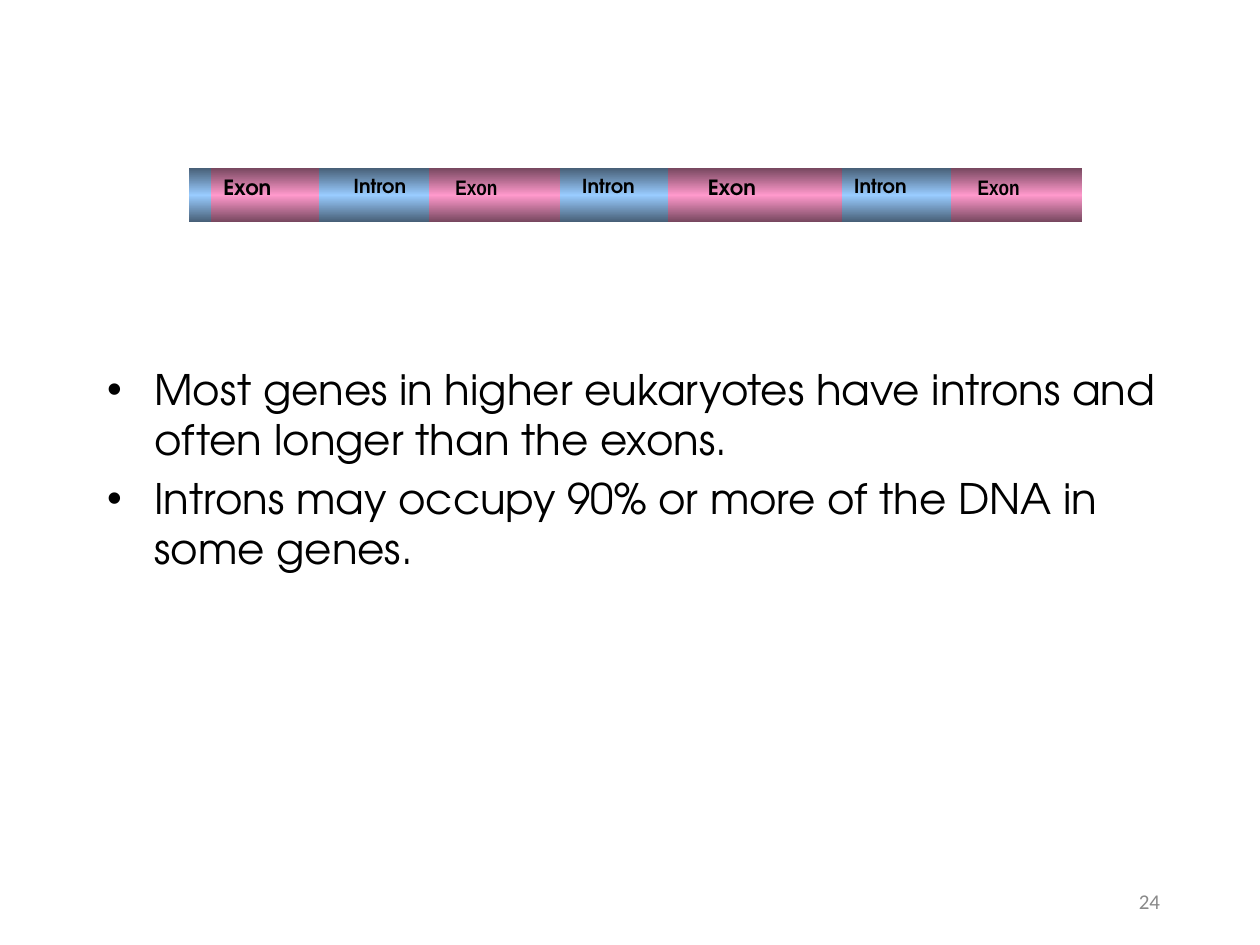
from copy import deepcopy
from dataclasses import dataclass

from pptx import Presentation
from pptx.dml.color import RGBColor
from pptx.enum.shapes import MSO_SHAPE
from pptx.enum.text import MSO_ANCHOR, MSO_AUTO_SIZE, PP_ALIGN
from pptx.util import Pt

RECTANGLE = MSO_SHAPE.RECTANGLE
TOP, MIDDLE = MSO_ANCHOR.TOP, MSO_ANCHOR.MIDDLE
LEFT, RIGHT = PP_ALIGN.LEFT, PP_ALIGN.RIGHT
FIXED_SIZE = MSO_AUTO_SIZE.NONE


@dataclass(frozen=True)
class Theme:
    heading_font: str = "TeX Gyre Adventor"
    narrow_font: str = "Arial Narrow"
    number_font: str = "Calibri"
    ink: str = "000000"
    muted: str = "898989"
    intron: tuple = ("475E76", "99CCFF")
    exon: tuple = ("76475E", "FF99CC")
    body_size: int = 24
    exon_size: int = 12
    intron_size: int = 11
    number_size: int = 12


def write_text(para, text, font, size, color, bold=False):
    span = para.add_run()
    span.text = text
    span.font.name = font
    span.font.size = Pt(size)
    span.font.bold = bold
    span.font.color.rgb = RGBColor.from_string(color)


class SlideBuilder:
    def __init__(self, slide, theme):
        self.slide = slide
        self.theme = theme

    def band(self, left, top, width, height, colors):
        box = self.slide.shapes.add_shape(
            RECTANGLE, Pt(left), Pt(top), Pt(width), Pt(height))
        box.shadow.inherit = False
        box.line.fill.background()
        box.fill.gradient()
        box.fill.gradient_angle = 90
        edge, center = colors
        stops = box.fill.gradient_stops
        for stop, color, position in zip(stops, (edge, center), (0, 0.5)):
            stop.color.rgb = RGBColor.from_string(color)
            stop.position = position
        first, middle = (stop._gs for stop in stops)
        middle.addnext(deepcopy(first))
        box.fill.gradient_stops[2].position = 1

    def label(self, text, left, top, width, height, indent=0,
              align=LEFT, anchor=TOP, **style):
        box = self.slide.shapes.add_textbox(
            Pt(left), Pt(top), Pt(width), Pt(height))
        frame = box.text_frame
        frame.word_wrap = True
        frame.vertical_anchor = anchor
        frame.margin_left = Pt(7.2 + indent)
        para = frame.paragraphs[0]
        para.alignment = align
        write_text(para, text, **style)

    def bullets(self, lines, left, top, width, height):
        body = self.slide.placeholders[1]
        body.left, body.top = Pt(left), Pt(top)
        body.width, body.height = Pt(width), Pt(height)
        frame = body.text_frame
        frame.auto_size = FIXED_SIZE
        for index, line in enumerate(lines):
            para = frame.add_paragraph() if index else frame.paragraphs[0]
            write_text(para, line, self.theme.heading_font,
                       self.theme.body_size, self.theme.ink)

    def remove_title(self):
        title = self.slide.shapes.title.element
        title.getparent().remove(title)


def main():
    theme = Theme()
    deck = Presentation()
    deck.slide_width, deck.slide_height = Pt(720), Pt(540)
    page = SlideBuilder(deck.slides.add_slide(deck.slide_layouts[1]), theme)
    page.remove_title()

    gene_top, gene_height, label_width = 96, 31, 62
    page.band(108, gene_top, 510, gene_height, theme.intron)
    for left, width in ((120.5, 62), (245, 75), (381.5, 99.5), (543.5, 75)):
        page.band(left, gene_top, width, gene_height, theme.exon)

    exon_labels = (
        (120.5, 0, theme.heading_font),
        (245, 8, theme.narrow_font),
        (394, 3.3, theme.heading_font),
        (543.5, 8, theme.narrow_font),
    )
    for left, indent, font in exon_labels:
        page.label("Exon", left, gene_top, label_width, gene_height, indent,
                   font=font, size=theme.exon_size, color=theme.ink, bold=True)
    for left, indent in ((195, 0), (319.5, 6), (481, 0)):
        page.label("Intron", left, gene_top, label_width, gene_height, indent,
                   font=theme.heading_font, size=theme.intron_size,
                   color=theme.ink, bold=True)

    page.bullets((
        "Most genes in higher eukaryotes have introns and often longer than the exons.",
        "Introns may occupy 90% or more of the DNA in some genes.",
    ), 54, 204, 624, 173)
    page.label("24", 508, 500.5, 162, 28.75, align=RIGHT, anchor=MIDDLE,
               font=theme.number_font, size=theme.number_size, color=theme.muted)
    deck.save("out.pptx")


if __name__ == "__main__":
    main()
